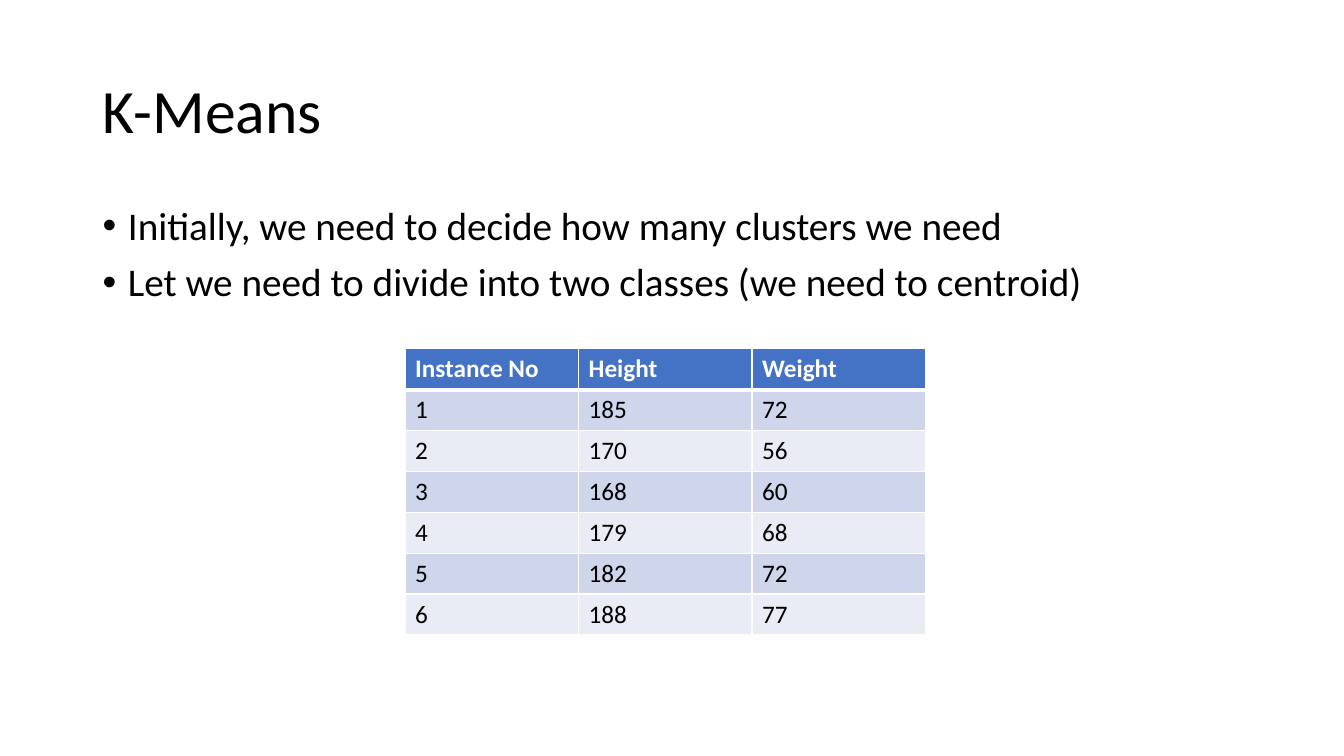
from lxml import etree
from pptx import Presentation
from pptx.dml.color import RGBColor as Rgb
from pptx.enum.text import MSO_ANCHOR as Anchor, MSO_AUTO_SIZE as Fit, PP_ALIGN as Align
from pptx.oxml.ns import qn
from pptx.util import Cm, Pt

HUES = {"text": "000000", "paper": "FFFFFF", "head": "4472C4",
        "odd": "CFD5EA", "even": "E9EBF5"}
FONTS = {
    "title": {"name": "Calibri", "size": Pt(44), "bold": False},
    "list": {"name": "Calibri", "size": Pt(28), "bold": False},
    "head": {"name": "Calibri", "size": Pt(18), "bold": True},
    "cell": {"name": "Calibri", "size": Pt(18), "bold": False},
}
POINTS = [
    "Initially, we need to decide how many clusters we need",
    "Let we need to divide into two classes (we need to centroid)",
]
DATA = [
    ("Instance No", "Height", "Weight"),
    (1, 185, 72),
    (2, 170, 56),
    (3, 168, 60),
    (4, 179, 68),
    (5, 182, 72),
    (6, 188, 77),
]


def style(para, kind, hue="text"):
    for key, value in FONTS[kind].items():
        setattr(para.font, key, value)
    para.font.color.rgb = Rgb.from_string(HUES[hue])


def place(shape, box, anchor):
    """Move a placeholder to the box and return its text frame."""
    for key, value in zip(("left", "top", "width", "height"), box):
        setattr(shape, key, Cm(value))
    frame = shape.text_frame
    frame.word_wrap, frame.auto_size = True, Fit.NONE
    frame.vertical_anchor = anchor
    return frame


def add_title(slide, box, text):
    frame = place(slide.shapes.title, box, Anchor.MIDDLE)
    frame.text = text
    para = frame.paragraphs[0]
    para.alignment, para.line_spacing = Align.LEFT, 0.9
    style(para, "title")


def add_list(slide, box, items):
    frame = place(slide.placeholders[1], box, Anchor.TOP)
    frame.text = "\n".join(items)
    for i, para in enumerate(frame.paragraphs):
        para.line_spacing = 0.9
        para.space_before = Pt(10 if i else 0)
        props = para._p.get_or_add_pPr()
        props.set("marL", str(Cm(0.64)))
        props.set("indent", str(-Cm(0.64)))
        etree.SubElement(props, qn("a:buFont")).set("typeface", "Arial")
        etree.SubElement(props, qn("a:buChar")).set("char", "•")
        style(para, "list")


def add_edges(cell, widths):
    """Draw the cell borders; widths maps each side to points."""
    props = cell._tc.get_or_add_tcPr()
    for side, width in widths.items():
        line = etree.SubElement(props, qn(f"a:ln{side}"), w=str(Pt(width)))
        fill = etree.SubElement(line, qn("a:solidFill"))
        etree.SubElement(fill, qn("a:srgbClr")).set("val", HUES["paper"])


def add_grid(slide, box, data):
    size = len(data), len(data[0])
    table = slide.shapes.add_table(*size, *map(Cm, box)).table
    for r, row in enumerate(data):
        kind, hue = ("cell", "text") if r else ("head", "paper")
        fill = ("odd" if r % 2 else "even") if r else "head"
        edges = {"L": 1, "R": 1, "T": 3 if r == 1 else 1, "B": 1 if r else 3}
        for c, value in enumerate(row):
            cell = table.cell(r, c)
            cell.text = str(value)
            style(cell.text_frame.paragraphs[0], kind, hue)
            add_edges(cell, edges)
            cell.fill.solid()
            cell.fill.fore_color.rgb = Rgb.from_string(HUES[fill])


def main():
    deck = Presentation()
    deck.slide_width, deck.slide_height = Cm(33.87), Cm(19.05)
    slide = deck.slides.add_slide(deck.slide_layouts[1])
    add_title(slide, (2.33, 1.02, 29.21, 3.68), "K-Means")
    add_list(slide, (2.33, 5.08, 29.21, 12.09), POINTS)
    add_grid(slide, (10.21, 8.79, 13.11, 7.21), DATA)
    deck.save("out.pptx")


if __name__ == "__main__":
    main()
